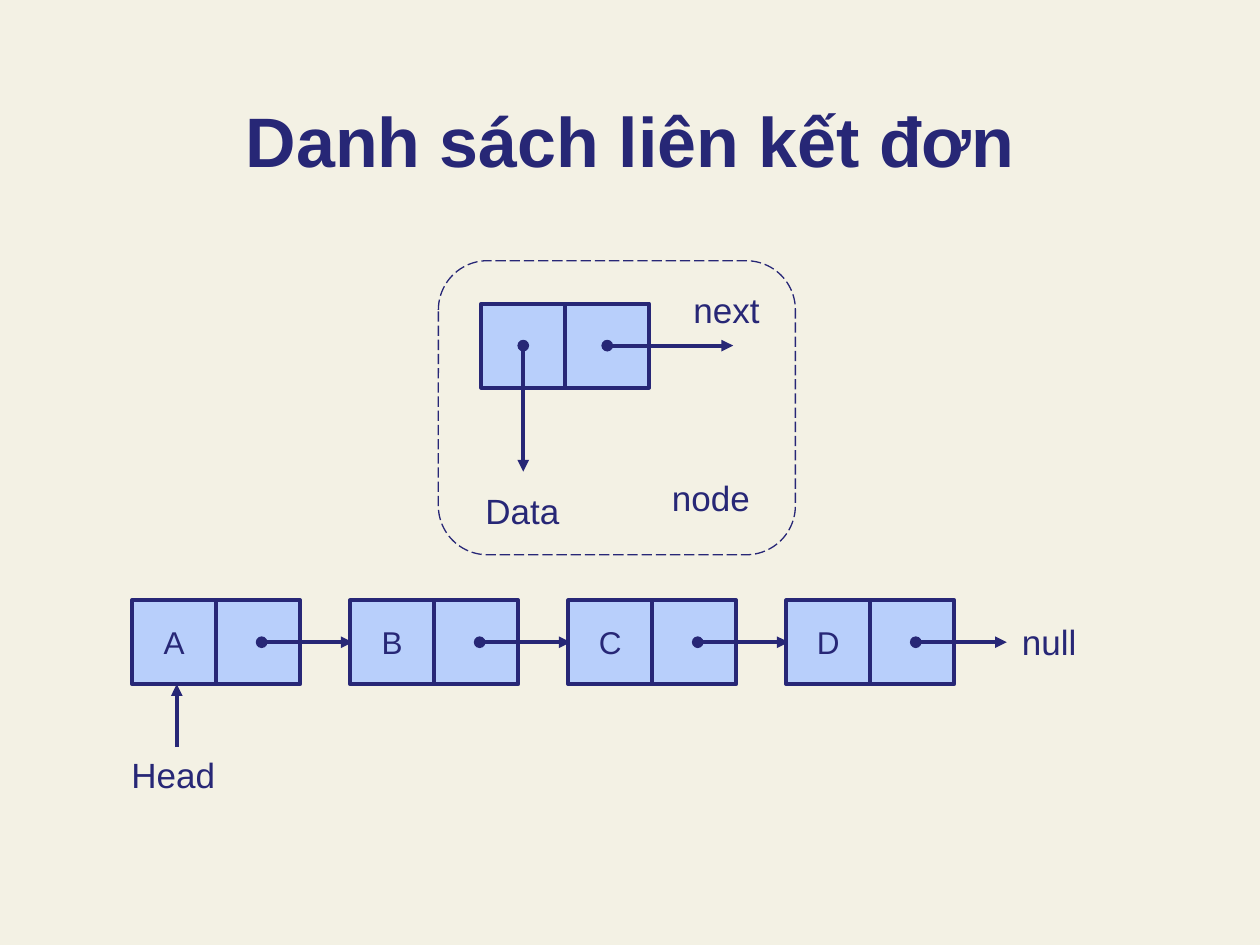
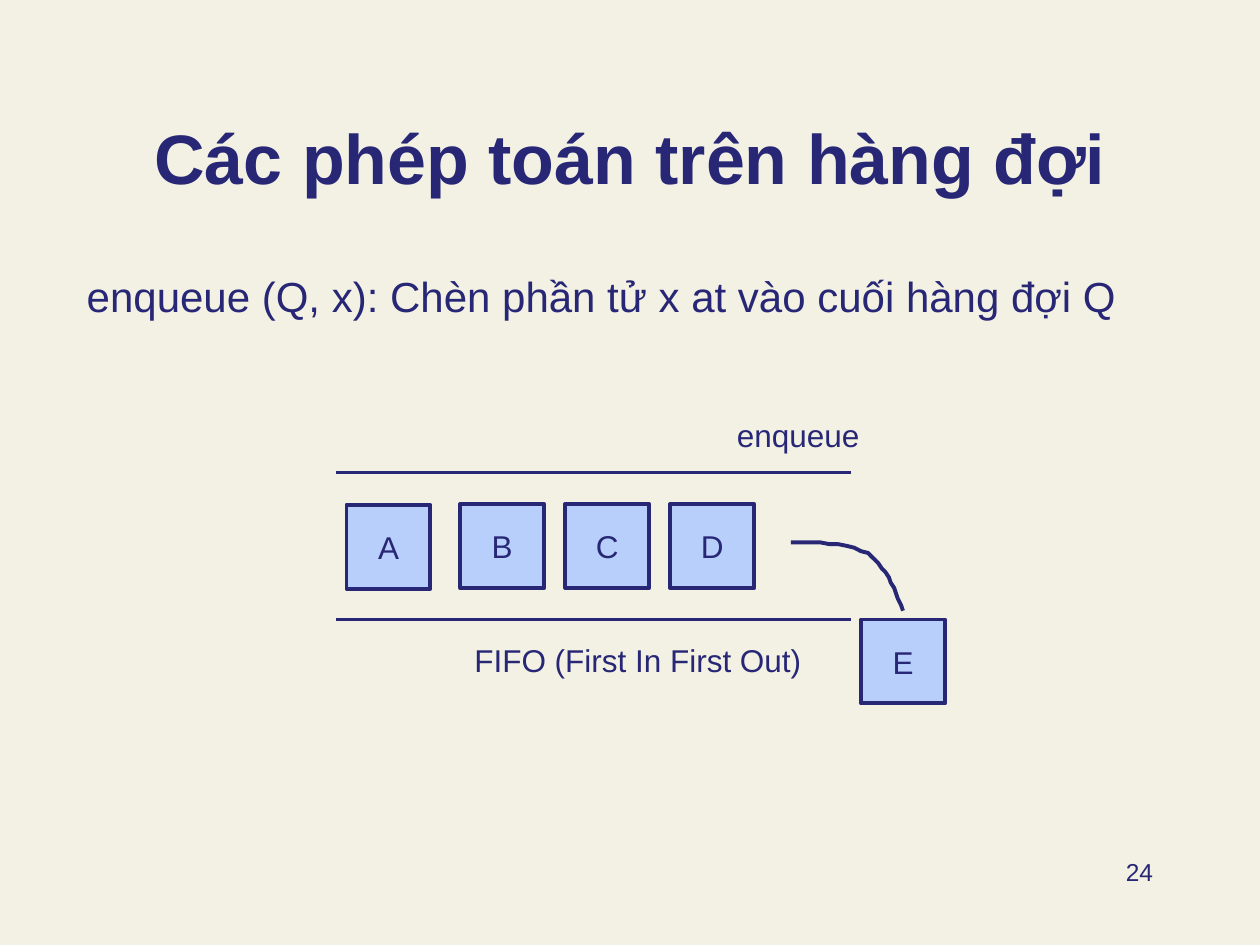
from lxml import etree
from pptx import Presentation
from pptx.dml.color import RGBColor
from pptx.enum.dml import MSO_LINE
from pptx.enum.shapes import MSO_CONNECTOR, MSO_SHAPE
from pptx.enum.text import MSO_ANCHOR, MSO_AUTO_SIZE, PP_ALIGN
from pptx.oxml.ns import qn
from pptx.util import Pt

LEFT, MID, RIGHT = PP_ALIGN.LEFT, PP_ALIGN.CENTER, PP_ALIGN.RIGHT
DASH = MSO_LINE.LONG_DASH
RECT, ROUND = MSO_SHAPE.RECTANGLE, MSO_SHAPE.ROUNDED_RECTANGLE
FONT = "Arial"
HEX = {"ink": "272776", "cell": "B8CFFB", "back": "F3F1E4"}
RGB = {name: RGBColor.from_string(code) for name, code in HEX.items()}
CELL = 48
THICK = 2.25


def put(slide, text, x, y, w=CELL, h=CELL, size=18, align=MID, box=False):
    place = [Pt(n) for n in (x, y, w, h)]
    if box:
        item = slide.shapes.add_shape(RECT, *place)
        item.shadow.inherit = False
        item.fill.solid()
        item.fill.fore_color.rgb = RGB["cell"]
        item.line.color.rgb = RGB["ink"]
        item.line.width = Pt(THICK)
    else:
        item = slide.shapes.add_textbox(*place)
    frame = item.text_frame
    frame.word_wrap = box or align != MID
    frame.text = text
    para = frame.paragraphs[0]
    para.alignment = align
    for run in para.runs:
        run.font.name = FONT
        run.font.size = Pt(size)
        run.font.color.rgb = RGB["ink"]


def link(slide, x1, y1, x2, y2, head=None, tail=None):
    line = slide.shapes.add_connector(
        MSO_CONNECTOR.STRAIGHT, Pt(x1), Pt(y1), Pt(x2), Pt(y2))
    line.line.color.rgb = RGB["ink"]
    line.line.width = Pt(THICK)
    stroke = line.line._get_or_add_ln()
    for tag, kind in (("a:headEnd", head), ("a:tailEnd", tail)):
        if kind:
            etree.SubElement(stroke, qn(tag)).set("type", kind)
    etree.SubElement(line._element.spPr, qn("a:effectLst"))


deck = Presentation()
deck.slide_width, deck.slide_height = Pt(720), Pt(540)
back = deck.slide_master.background.fill
back.solid()
back.fore_color.rgb = RGB["back"]

slides = []
for text, top in (("Danh sách liên kết đơn", 29.5),
                  ("Các phép toán trên hàng đợi", 39)):
    slide = deck.slides.add_slide(deck.slide_layouts[5])
    title = slide.shapes.title
    title.left, title.top = Pt(54), Pt(top)
    title.width, title.height = Pt(612), Pt(78)
    frame = title.text_frame
    frame.text = text
    frame.auto_size = MSO_AUTO_SIZE.NONE
    frame.vertical_anchor = MSO_ANCHOR.BOTTOM
    frame.paragraphs[0].alignment = MID
    font = frame.paragraphs[0].runs[0].font
    font.name, font.size, font.bold = FONT, Pt(40), True
    font.color.rgb = RGB["ink"]
    slides.append(slide)
chain, queue = slides

frame = chain.shapes.add_shape(ROUND, Pt(250.5), Pt(149), Pt(204), Pt(168))
frame.shadow.inherit = False
frame.adjustments[0] = 0.167
frame.fill.background()
frame.line.color.rgb = RGB["ink"]
frame.line.width = Pt(0.75)
frame.line.dash_style = DASH

left, top = 275, 173.5
half = CELL / 2
for col in range(2):
    put(chain, "", left + col * CELL, top, box=True)
for col, dx, dy in ((0, 0, 72), (1, 72, 0)):
    x, y = left + col * CELL + half, top + half
    link(chain, x, y, x + dx, y + dy, "oval", "triangle")

left, top, step = 75.5, 343, 124.6
for i, name in enumerate("ABCD"):
    x = left + i * step
    put(chain, name, x, top, box=True)
    put(chain, "", x + CELL, top, box=True)
    link(chain, x + 74, top + half, x + 126, top + half, "oval", "triangle")
link(chain, 101, 427, 101, top + CELL, tail="triangle")

for text, x, y, w, h in (("next", 389, 161.5, 52.5, 31),
                         ("Data", 270, 276, 57, 31.5),
                         ("node", 372, 269, 68.5, 31),
                         ("null", 576.5, 351, 46, 55),
                         ("Head", 67.5, 427, 63, 31.5)):
    put(chain, text, x, y, w, h, 20)

put(queue, "enqueue (Q, x): Chèn phần tử x at vào cuối hàng đợi Q",
    42.5, 151, 629, 53, 24, LEFT)
put(queue, "24", 516, 486, 150, 36, 14, RIGHT)
for name, x, y in (("A", 198, 288.5), ("B", 263, 288), ("C", 323, 288),
                   ("D", 383, 288), ("E", 492, 354)):
    put(queue, name, x, y, box=True)
for y in (270, 354):
    link(queue, 192, y, 486, y)

knots = [(516, 349), (511, 336), (506, 322.5), (495.5, 316),
         (484.5, 309.5), (451.5, 309.5), (451.5, 309.5)]
curve = []
for start in (0, 3):
    for n in range(1, 13):
        t = n / 12
        mix = ((1 - t) ** 3, 3 * t * (1 - t) ** 2, 3 * t * t * (1 - t), t ** 3)
        curve.append(tuple(
            sum(m * knot[axis] for m, knot in zip(mix, knots[start:start + 4]))
            for axis in (0, 1)))
pen = queue.shapes.build_freeform(*knots[0], scale=Pt(1))
pen.add_line_segments(curve, close=False)
arc = pen.convert_to_shape()
arc.shadow.inherit = False
arc.fill.background()
arc.line.color.rgb = RGB["ink"]
arc.line.width = Pt(THICK)

put(queue, "enqueue", 414, 234, 90, 29, align=LEFT)
put(queue, "FIFO (First In First Out)", 264, 363, 206, 29, align=LEFT)

deck.save("out.pptx")
